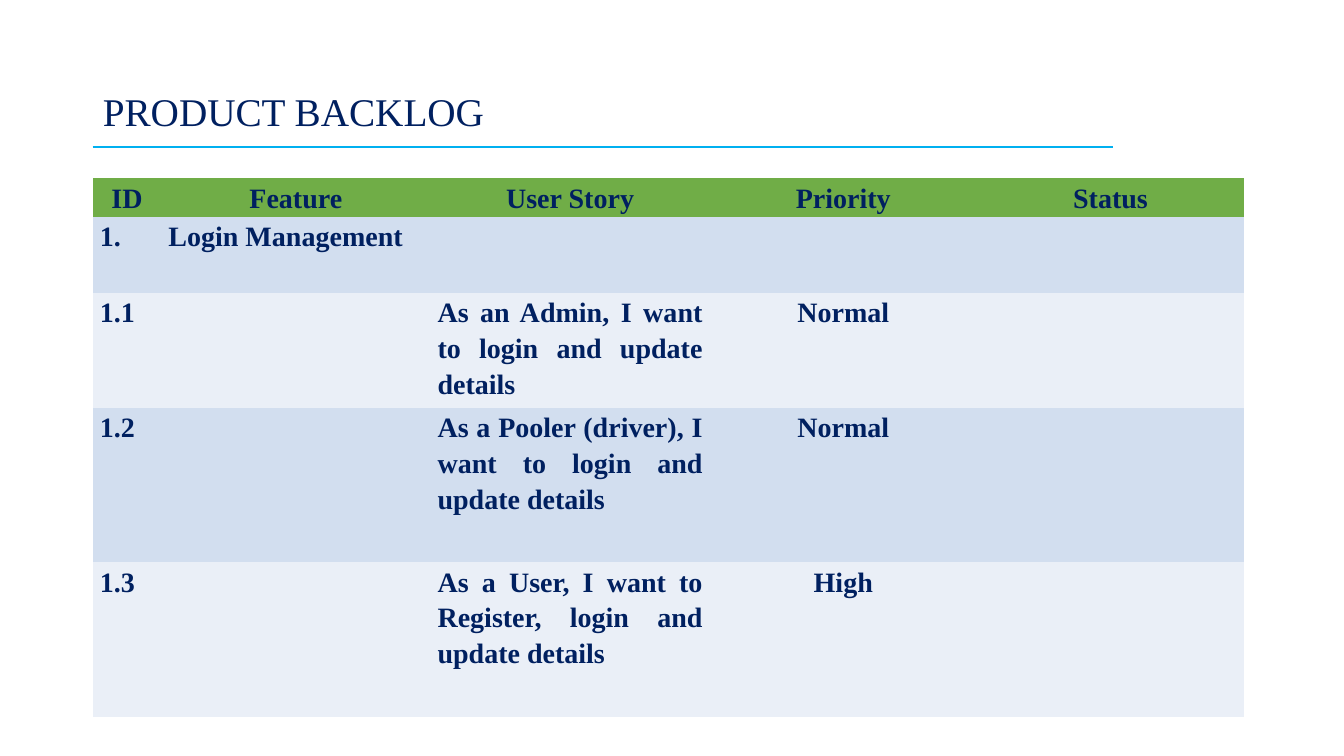
from pptx import Presentation
from pptx.dml.color import RGBColor
from pptx.enum.shapes import MSO_CONNECTOR
from pptx.enum.text import MSO_ANCHOR, PP_ALIGN
from pptx.oxml.ns import qn
from pptx.util import Inches, Pt
from lxml.etree import SubElement

TITLE = "PRODUCT BACKLOG"
HEADER = ("ID", "Feature", "User Story", "Priority", "Status")
STORIES = [
    ("1.", "Login Management", "", "", ""),
    ("1.1", "", "As an Admin, I want to login and update details", "Normal", ""),
    ("1.2", "", "As a Pooler (driver), I want to login and update details", "Normal", ""),
    ("1.3", "", "As a User, I want to Register, login and update details", "High", ""),
]
COLUMN_WIDTHS = (0.68, 2.67, 2.77, 2.65, 2.65)
ROW_HEIGHTS = (0.38, 0.76, 1.14, 1.53, 1.53)
PRIORITY_COLUMN = 3
LEFT = 0.92
FONT = "Times New Roman"
COLORS = {"text": "002060", "rule": "00B0F0", "header": "70AD47",
          "odd": "D2DEEF", "even": "EAEFF7"}
NO_STYLE_NO_GRID = "{2D5ABB26-0587-4C30-8999-92F81FD0307C}"


def color(name):
    return RGBColor.from_string(COLORS[name])


def write(paragraph, text, size, bold, alignment, spacing):
    paragraph.alignment = alignment
    paragraph.line_spacing = spacing
    run = paragraph.add_run()
    run.text = text
    run.font.name = FONT
    run.font.size = Pt(size)
    run.font.bold = bold
    run.font.color.rgb = color("text")


def add_title(slide):
    title = slide.shapes.title
    title.left, title.top = Inches(LEFT), Inches(0.4)
    title.width, title.height = Inches(11.5), Inches(1.45)
    title.text_frame.vertical_anchor = MSO_ANCHOR.MIDDLE
    write(title.text_frame.paragraphs[0], TITLE, 28, False, PP_ALIGN.LEFT, 0.9)


def add_backlog(slide):
    rows = [HEADER, *STORIES]
    table = slide.shapes.add_table(
        len(rows), len(HEADER), Inches(LEFT), Inches(1.77),
        Inches(sum(COLUMN_WIDTHS)), Inches(sum(ROW_HEIGHTS))).table
    table._tbl.tblPr.find(qn("a:tableStyleId")).text = NO_STYLE_NO_GRID
    for column, width in zip(table.columns, COLUMN_WIDTHS):
        column.width = Inches(width)
    for row, height in zip(table.rows, ROW_HEIGHTS):
        row.height = Inches(height)
    for row_index, texts in enumerate(rows):
        band = "header" if row_index == 0 else ("even", "odd")[row_index % 2]
        for column_index, text in enumerate(texts):
            cell = table.cell(row_index, column_index)
            cell.fill.solid()
            cell.fill.fore_color.rgb = color(band)
            cell.margin_left = cell.margin_right = Inches(0.07)
            cell.margin_top = cell.margin_bottom = 0
            if text:
                centered = row_index == 0 or column_index == PRIORITY_COLUMN
                alignment = PP_ALIGN.CENTER if centered else PP_ALIGN.JUSTIFY
                write(cell.text_frame.paragraphs[0], text, 20, True, alignment, 1.15)


def add_rule(slide):
    rule = slide.shapes.add_connector(
        MSO_CONNECTOR.STRAIGHT, Inches(LEFT), Inches(1.46), Inches(11.04), Inches(1.46))
    rule.line.color.rgb = color("rule")
    rule.line.width = Pt(1.5)
    SubElement(rule._element.spPr, qn("a:effectLst"))


def main():
    presentation = Presentation()
    presentation.slide_width = Inches(13.33)
    presentation.slide_height = Inches(7.5)
    slide = presentation.slides.add_slide(presentation.slide_layouts[5])
    add_title(slide)
    add_backlog(slide)
    add_rule(slide)
    presentation.save("out.pptx")


if __name__ == "__main__":
    main()
